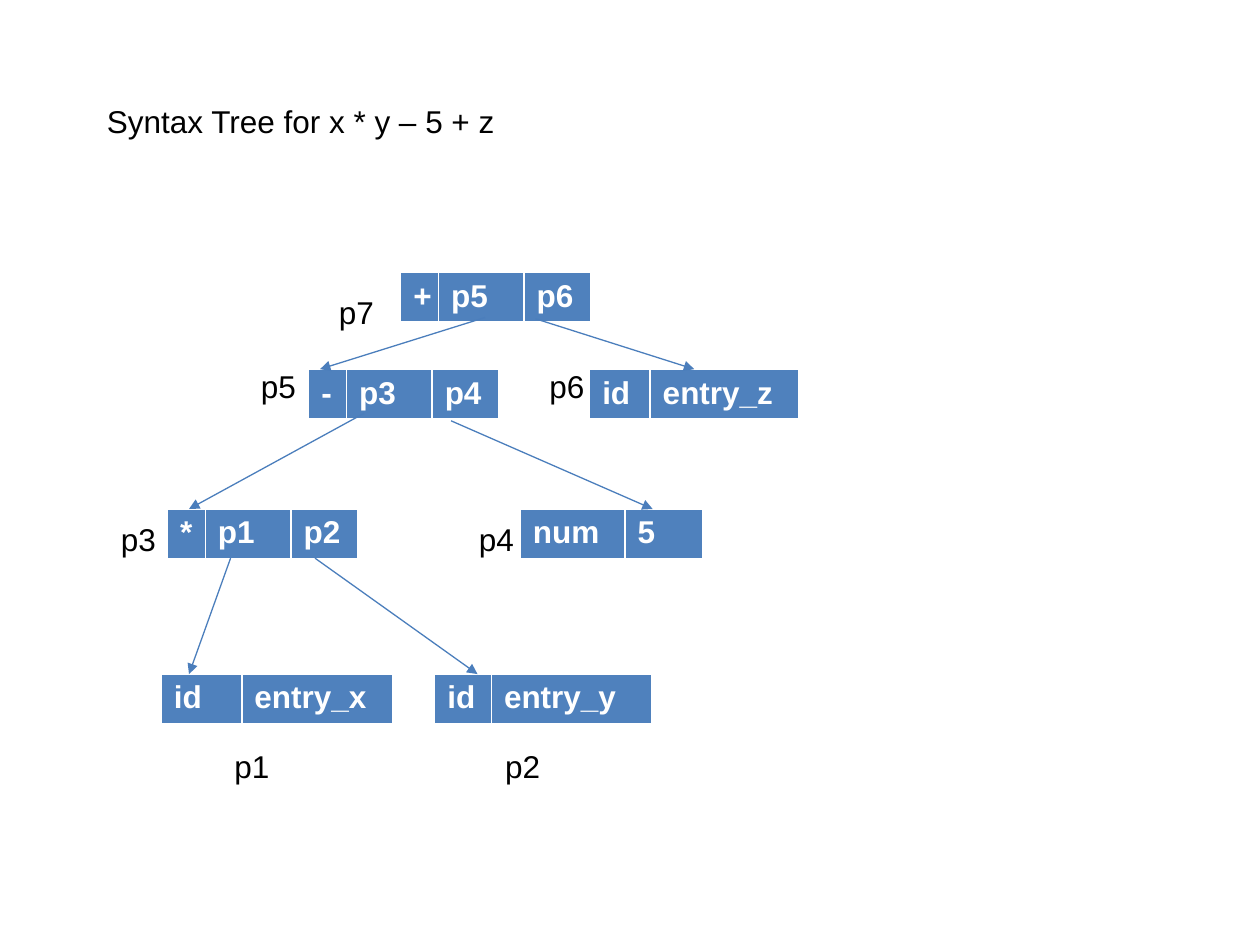
"""Build a slide with the syntax tree of an arithmetic expression."""
from lxml.etree import SubElement
from pptx import Presentation
from pptx.dml.color import RGBColor
from pptx.enum.shapes import MSO_CONNECTOR
from pptx.enum.text import MSO_ANCHOR
from pptx.oxml import parse_xml
from pptx.oxml.ns import nsdecls, qn
from pptx.util import Inches, Pt

BLACK = RGBColor(0x00, 0x00, 0x00)
WHITE = RGBColor(0xFF, 0xFF, 0xFF)
NODE_BLUE = RGBColor(0x4F, 0x81, 0xBD)
ARROW_BLUE = RGBColor(0x4B, 0x7E, 0xBC)

TITLE = "Syntax Tree for x * y – 5 + z"
LEVEL_TOPS = (2.16, 2.93, 4.04, 5.35)
LABEL_TOPS = (2.33, 2.92, 4.13, 5.93)
ROW_HEIGHT = 0.41
LABEL_SIZE = (0.4, 0.29)
OPERATOR_COLUMNS = (0.3, 0.68, 0.53)
BORDERS = {"lnL": 1, "lnR": 1, "lnT": 1, "lnB": 3}

# level, node left, label left, label, fields, column widths
NODES = [
    (2, 1.33, 0.96, "p3", ("*", "p1", "p2"), OPERATOR_COLUMNS),
    (1, 2.45, 2.07, "p5", ("-", "p3", "p4"), OPERATOR_COLUMNS),
    (0, 3.18, 2.69, "p7", ("+", "p5", "p6"), OPERATOR_COLUMNS),
    (1, 4.68, 4.36, "p6", ("id", "entry_z"), (0.48, 1.18)),
    (2, 4.13, 3.8, "p4", ("num", "5"), (0.83, 0.62)),
    (3, 3.45, 4.01, "p2", ("id", "entry_y"), (0.45, 1.27)),
    (3, 1.28, 1.86, "p1", ("id", "entry_x"), (0.64, 1.2)),
]

# start point, end x, child level
BRANCHES = [
    ((1.83, 4.43), 1.5, 3),
    ((2.5, 4.43), 3.79, 3),
    ((2.89, 3.28), 1.5, 2),
    ((3.58, 3.34), 5.18, 2),
    ((3.85, 2.52), 2.54, 1),
    ((4.25, 2.53), 5.51, 1),
]


def write(frame, text, color=BLACK, bold=False):
    paragraph = frame.paragraphs[0]
    run = paragraph.add_run()
    run.text = text
    font = run.font
    font.name, font.size, font.bold = "Arial", Pt(18), bold
    font.color.rgb = color


def add_label(slide, text, left, top, width, height, inset=0):
    frame = slide.shapes.add_textbox(*map(Inches, (left, top, width, height))).text_frame
    frame.word_wrap = True
    frame.vertical_anchor = MSO_ANCHOR.MIDDLE
    frame.margin_left = frame.margin_right = Inches(inset)
    frame.margin_top = frame.margin_bottom = Inches(inset / 2)
    write(frame, text)


def add_borders(cell):
    properties = cell._tc.get_or_add_tcPr()
    for position, (side, points) in enumerate(BORDERS.items()):
        properties.insert(position, parse_xml(
            f'<a:{side} {nsdecls("a")} w="{Pt(points)}"><a:solidFill>'
            f'<a:srgbClr val="{WHITE}"/></a:solidFill></a:{side}>'))


def add_node(slide, left, top, fields, widths):
    table = slide.shapes.add_table(
        1, len(fields), *map(Inches, (left, top, sum(widths), ROW_HEIGHT))).table
    for column, (field, width) in enumerate(zip(fields, widths)):
        table.columns[column].width = Inches(width)
        cell = table.cell(0, column)
        cell.fill.solid()
        cell.fill.fore_color.rgb = NODE_BLUE
        add_borders(cell)
        write(cell.text_frame, field, color=WHITE, bold=True)


def add_branch(slide, start, end):
    branch = slide.shapes.add_connector(MSO_CONNECTOR.STRAIGHT, *map(Inches, start + end))
    branch.line.color.rgb = ARROW_BLUE
    branch.line.width = Pt(0.75)
    SubElement(branch.line._get_or_add_ln(), qn("a:tailEnd"), type="triangle")
    SubElement(branch._element.spPr, qn("a:effectLst"))


def main():
    deck = Presentation()
    deck.slide_width, deck.slide_height = Inches(10), Inches(7.5)
    slide = deck.slides.add_slide(deck.slide_layouts[6])
    add_label(slide, TITLE, 0.75, 0.67, 8.5, 0.58, inset=0.1)
    for level, left, label_left, label, fields, widths in NODES:
        add_label(slide, label, label_left, LABEL_TOPS[level], *LABEL_SIZE)
        add_node(slide, left, LEVEL_TOPS[level], fields, widths)
    for start, end_x, level in BRANCHES:
        add_branch(slide, start, (end_x, LEVEL_TOPS[level]))
    deck.save("out.pptx")


if __name__ == "__main__":
    main()
